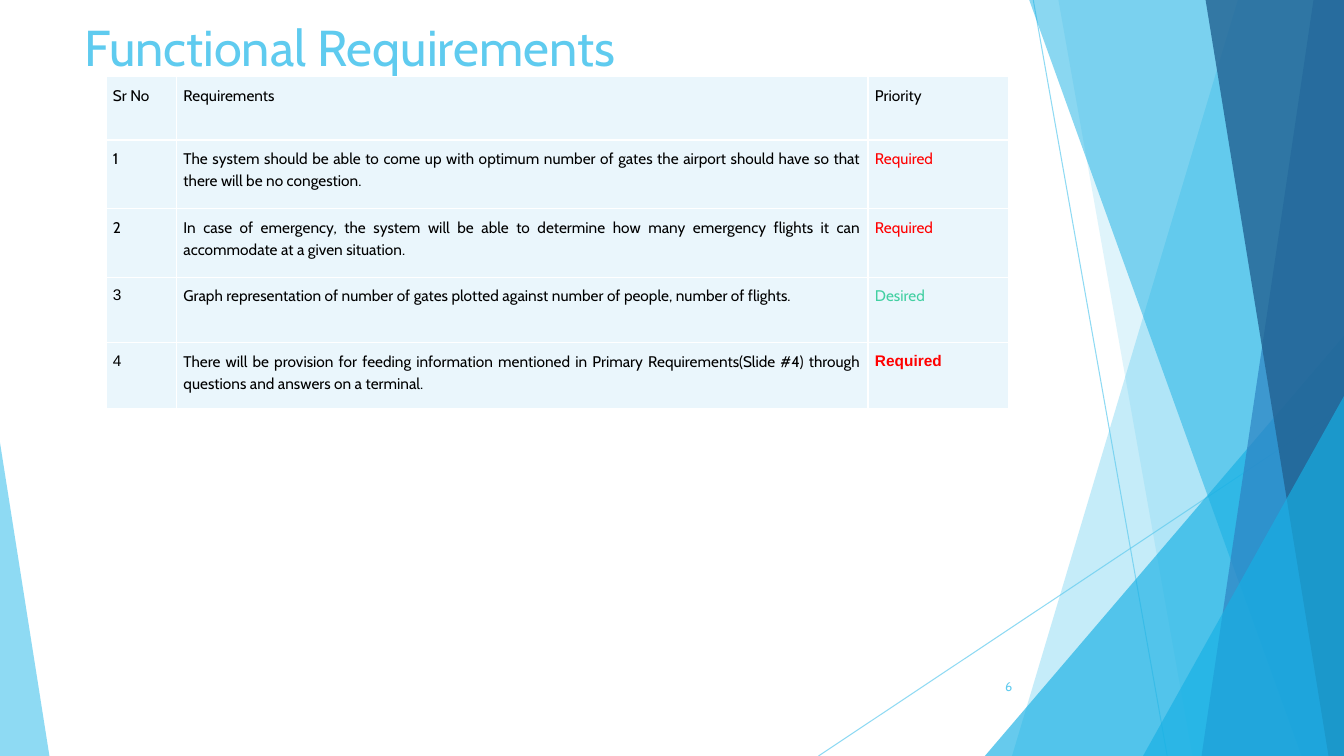
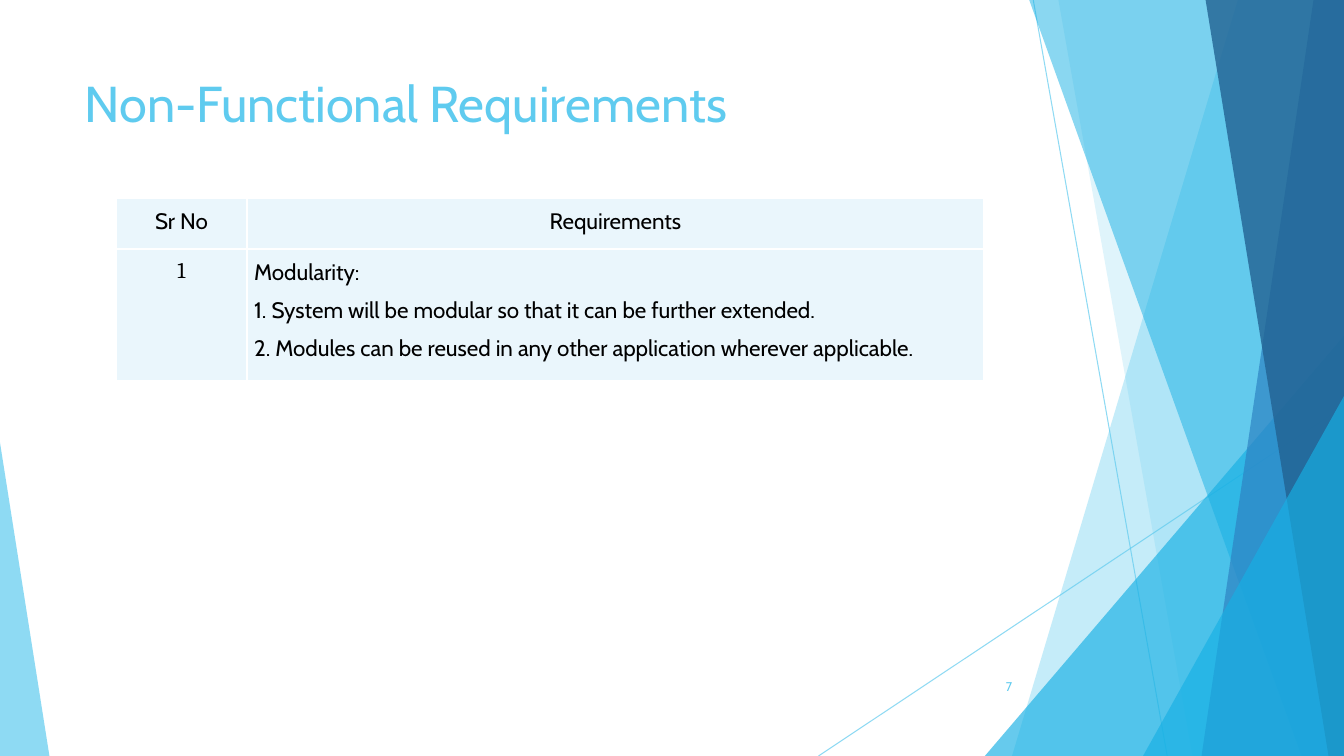
from dataclasses import dataclass

from lxml.etree import SubElement
from pptx import Presentation
from pptx.dml.color import RGBColor
from pptx.enum.shapes import MSO_CONNECTOR, MSO_SHAPE
from pptx.enum.text import MSO_ANCHOR, MSO_AUTO_SIZE, PP_ALIGN
from pptx.oxml.ns import qn
from pptx.util import Emu, Inches, Pt

WIDTH, HEIGHT = Inches(13.33), Inches(7.5)
SKY, CYAN, BLUE, NAVY = "5FCBEF", "17B0E4", "2E83C3", "226292"
WHITE, BLACK, PALE, RED, GREEN = "FFFFFF", "000000", "EAF6FC", "FF0000", "42D0A2"
FONT = "Cabin"

RAYS = [((76.88, 0), (86.85, 100)), ((100, 53.73), (60.9, 100))]
FACETS = [
    ("band", 92.1, 75.3, SKY, 36),
    ("band", 78.75, 88.73, SKY, 20),
    ("corner", 73.28, 44.4, CYAN, 66),
    ("band", 76.58, 96.83, CYAN, 50),
    ("band", 97.73, 89.4, BLUE, 70),
    ("band", 89.7, 98.85, NAVY, 80),
    ("corner", 85.05, 52.4, CYAN, 66),
]


@dataclass
class Entry:
    text: str
    color: str = BLACK
    font: str = FONT
    bold: bool = False
    align: PP_ALIGN = PP_ALIGN.JUSTIFY


@dataclass
class TableStyle:
    size: int
    line_spacing: float
    space_after: int = 0


def across(percent):
    return Emu(round(WIDTH * percent / 100))


def down(percent):
    return Emu(round(HEIGHT * percent / 100))


def area(left, top, width, height):
    return across(left), down(top), across(width), down(height)


def paint(target, color):
    target.solid()
    target.fore_color.rgb = RGBColor.from_string(color)


def set_opacity(shape, percent):
    for tint in shape.element.spPr.iter(qn("a:srgbClr")):
        SubElement(tint, qn("a:alpha"), val=str(percent * 1000))


def add_span(para, text, size, color, font=FONT, bold=False):
    span = para.add_run()
    span.text = text
    span.font.size = Pt(size)
    span.font.name = font
    span.font.bold = bold
    span.font.color.rgb = RGBColor.from_string(color)


def add_ray(page, start, end):
    ray = page.shapes.add_connector(
        MSO_CONNECTOR.STRAIGHT,
        across(start[0]), down(start[1]), across(end[0]), down(end[1]))
    ray.line.width = Pt(0.75)
    paint(ray.line.fill, SKY)
    set_opacity(ray, 70)
    SubElement(ray.element.spPr, qn("a:effectLst"))
    return ray


def finish_facet(facet, color, opacity):
    facet.shadow.inherit = False
    paint(facet.fill, color)
    facet.line.fill.background()
    set_opacity(facet, opacity)
    return facet


def add_band(page, top_left, bottom_left, color, opacity):
    outline = page.shapes.build_freeform(across(top_left), 0)
    outline.add_line_segments(
        [(WIDTH, 0), (WIDTH, HEIGHT), (across(bottom_left), HEIGHT)], close=True)
    return finish_facet(outline.convert_to_shape(), color, opacity)


def add_triangle(page, box, apex, color, opacity):
    triangle = page.shapes.add_shape(MSO_SHAPE.ISOSCELES_TRIANGLE, *area(*box))
    triangle.adjustments[0] = apex
    return finish_facet(triangle, color, opacity)


def move_backdrop_to_layout(page):
    backdrop = [add_ray(page, *ends) for ends in RAYS]
    for kind, first, second, color, opacity in FACETS:
        if kind == "band":
            backdrop.append(add_band(page, first, second, color, opacity))
        else:
            corner = (first, second, 100 - first, 100 - second)
            backdrop.append(add_triangle(page, corner, 1, color, opacity))
    backdrop.append(add_triangle(page, (0, 58.53, 3.68, 41.47), 0, SKY, 70))

    layout = page.slide_layout
    for holder in list(layout.placeholders)[1:]:
        layout.shapes.element.remove(holder.element)
    for shape in backdrop:
        layout.shapes.element.append(shape.element)


def set_title(page, text, top, height):
    title = page.shapes.title
    title.left, title.top, title.width, title.height = area(5.55, top, 70.5, height)
    frame = title.text_frame
    frame.word_wrap = True
    frame.auto_size = MSO_AUTO_SIZE.NONE
    frame.vertical_anchor = MSO_ANCHOR.TOP
    para = frame.paragraphs[0]
    para.alignment = PP_ALIGN.LEFT
    add_span(para, text, 36, SKY)


def add_page_number(page, number):
    box = page.shapes.add_textbox(*area(70.43, 88.13, 5.63, 5.33))
    frame = box.text_frame
    frame.word_wrap = True
    frame.vertical_anchor = MSO_ANCHOR.MIDDLE
    para = frame.paragraphs[0]
    para.alignment = PP_ALIGN.RIGHT
    add_span(para, str(number), 9, SKY)


def draw_borders(cell):
    properties = cell._tc.get_or_add_tcPr()
    for side in ("lnL", "lnR", "lnT", "lnB"):
        border = SubElement(properties, qn("a:" + side), w=str(Pt(1)))
        fill = SubElement(border, qn("a:solidFill"))
        SubElement(fill, qn("a:srgbClr"), val=WHITE)


def fill_cell(cell, entry, style):
    draw_borders(cell)
    paint(cell.fill, PALE)
    inset = Inches(0.07)
    cell.margin_left = cell.margin_right = inset
    cell.margin_top = cell.margin_bottom = inset
    frame = cell.text_frame
    for index, text in enumerate(entry.text.split("\n")):
        para = frame.add_paragraph() if index else frame.paragraphs[0]
        para.alignment = entry.align
        para.line_spacing = style.line_spacing
        para.space_after = Pt(style.space_after)
        add_span(para, text, style.size, entry.color, entry.font, entry.bold)


def share_out(tracks, weights, total, side):
    for track, weight in zip(tracks, weights):
        setattr(track, side, Emu(round(total * weight / sum(weights))))


def add_requirements(page, box, columns, rows, entries, style):
    left, top, width, height = area(*box)
    table = page.shapes.add_table(
        len(rows), len(columns), left, top, width, height).table
    table.first_row = table.horz_banding = False
    share_out(table.columns, columns, width, "width")
    share_out(table.rows, rows, height, "height")
    for row, line in enumerate(entries):
        for column, entry in enumerate(line):
            fill_cell(table.cell(row, column), entry, style)


def build_functional(page):
    set_title(page, "Functional Requirements", 1.47, 10.4)
    required = Entry("Required", RED)
    entries = [
        [Entry("Sr No"), Entry("Requirements"), Entry("Priority")],
        [Entry("1"),
         Entry("The system should be able to come up with optimum number of gates "
               "the airport should have so that there will be no congestion."),
         required],
        [Entry("2"),
         Entry("In case of emergency, the system will be able to determine how many "
               "emergency flights it can accommodate at a given situation."),
         required],
        [Entry("3", font="Arial"),
         Entry("Graph representation of number of gates plotted against number of "
               "people, number of flights."),
         Entry("Desired", GREEN)],
        [Entry("4", font="Arial"),
         Entry("There will be provision for feeding information mentioned in Primary "
               "Requirements(Slide #4) through questions and answers on a terminal."),
         Entry("Required", RED, "Arial", True)],
    ]
    add_requirements(page, (7.88, 10.13, 67.2, 43.87), (0.7, 6.86, 1.4),
                     (0.63, 0.68, 0.68, 0.65, 0.65), entries, TableStyle(11, 1.15))


def build_non_functional(page):
    set_title(page, "Non-Functional Requirements", 8.93, 11.47)
    center = PP_ALIGN.CENTER
    entries = [
        [Entry("Sr No", align=center), Entry("Requirements", align=center)],
        [Entry("1", font="Cambria", align=center),
         Entry("Modularity:\n"
               "1. System will be modular so that it can be further extended.\n"
               "2. Modules can be reused in any other application wherever applicable.")],
    ]
    add_requirements(page, (8.63, 26.27, 64.58, 24.13), (1.3, 7.31),
                     (0.5, 1.31), entries, TableStyle(16, 1.1, 6))


def main():
    deck = Presentation()
    deck.slide_width, deck.slide_height = WIDTH, HEIGHT
    title_only = deck.slide_layouts[5]
    for number, build in enumerate((build_functional, build_non_functional), 6):
        page = deck.slides.add_slide(title_only)
        if number == 6:
            move_backdrop_to_layout(page)
        build(page)
        add_page_number(page, number)
    deck.save("out.pptx")


if __name__ == "__main__":
    main()
